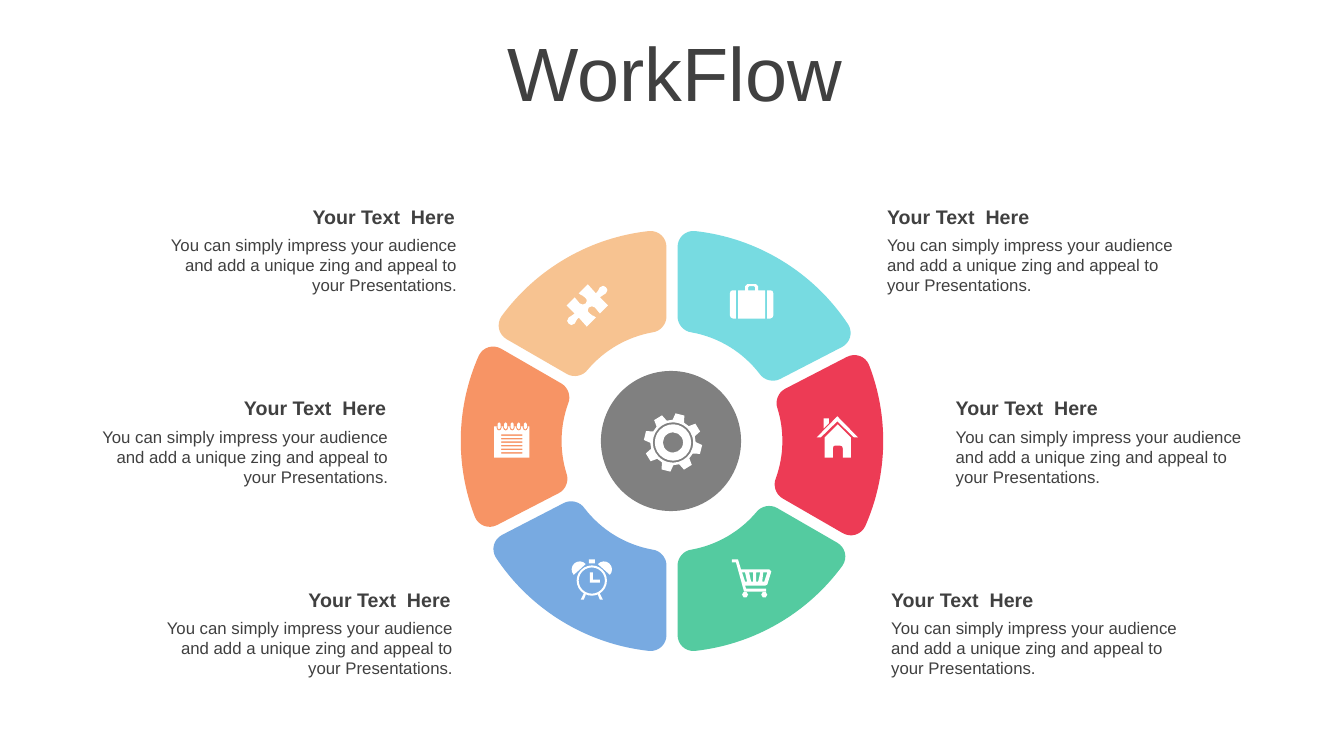
from math import asin, ceil, cos, degrees, radians, sin, tan

from pptx import Presentation
from pptx.dml.color import RGBColor
from pptx.enum.shapes import MSO_SHAPE
from pptx.enum.text import MSO_ANCHOR, PP_ALIGN
from pptx.oxml.ns import qn
from pptx.util import Emu, Pt

PX = 9144  # EMU per px, 100 px to the inch
LEFT, CENTER, RIGHT = PP_ALIGN.LEFT, PP_ALIGN.CENTER, PP_ALIGN.RIGHT
TOP, MIDDLE = MSO_ANCHOR.TOP, MSO_ANCHOR.MIDDLE
OVAL = MSO_SHAPE.OVAL
FONT = "Arial"
COLORS = {
    "text": "404040", "hub": "808080", "icon": "FFFFFF",
    "aqua": "77DBE1", "red": "ED3B55", "green": "54CBA0",
    "blue": "78AAE1", "orange": "F79465", "sand": "F7C391",
}
HEADING = "Your Text  Here"
BODY = ("You can simply impress your audience and add a unique zing "
        "and appeal to your Presentations.")


def px(n):
    return Emu(round(n * PX))


def paint(sp, color):
    sp.shadow.inherit = False
    sp.fill.solid()
    sp.fill.fore_color.rgb = RGBColor.from_string(COLORS[color])
    sp.line.fill.background()


def add_text(s, text, x, y, w, h, size=12, bold=False, align=LEFT,
             anchor=TOP, spacing=1.0):
    tf = s.shapes.add_textbox(px(x), px(y), px(w), px(h)).text_frame
    tf.word_wrap = True
    tf.vertical_anchor = anchor
    p = tf.paragraphs[0]
    p.alignment, p.line_spacing = align, spacing
    r = p.add_run()
    r.text = text
    r.font.name, r.font.size, r.font.bold = FONT, Pt(size), bold
    r.font.color.rgb = RGBColor.from_string(COLORS["text"])


# Outlines: a pair is a corner, six numbers are a cubic curve
def polar(cx, cy, r, angle):
    return cx + r * cos(radians(angle)), cy + r * sin(radians(angle))


def arc(cx, cy, r, start, end, span=120):
    pieces = ceil(abs(end - start) / span)
    turn = (end - start) / pieces
    pull = 4 / 3 * tan(radians(turn / 4))
    steps = [polar(cx, cy, r, start)]
    for i in range(pieces):
        a, b = start + turn * i, start + turn * (i + 1)
        p, q = polar(cx, cy, r, a), polar(cx, cy, r, b)
        steps.append((*polar(*p, r * pull, a + 90),
                      *polar(*q, r * pull, b - 90), *q))
    return steps


def disc(cx, cy, r):
    return arc(cx, cy, r, 0, 360)


def rect(x, y, w, h):
    return [(x, y), (x + w, y), (x + w, y + h), (x, y + h)]


def mirror(steps, width):
    return [tuple(v if i % 2 else width - v for i, v in enumerate(step))
            for step in steps]


def draw(s, x, y, contours, color):
    builder = None
    for contour in contours:
        points = [(px(x + step[i]), px(y + step[i + 1]))
                  for step in contour for i in range(0, len(step), 2)]
        if builder is None:
            builder = s.shapes.build_freeform(*points[0], scale=1.0)
        else:
            builder.move_to(*points[0])
        builder.add_line_segments(points[1:], close=True)
    sp = builder.convert_to_shape()
    # Join the three points of each curve into one element
    nodes = iter(list(sp._element.iter(qn("a:lnTo"))))
    for contour in contours:
        for step in contour[1:]:
            node = next(nodes)
            if len(step) == 6:
                node.tag = qn("a:cubicBezTo")
                for other in (next(nodes), next(nodes)):
                    node.append(other[0])
                    other.getparent().remove(other)
    paint(sp, color)


# Icons
def gear():
    tooth = ((29, -85), (29, -67), (22.5, -61), (22.5, -46))
    rim = [polar(28.5, 29, r, a + 45 * k) for k in range(8) for r, a in tooth]
    return [rim] + [disc(28.5, 29, r) for r in (20, 18, 10)]


def clock():
    bell = arc(8, 10, 8, -42, -222)
    leg = [(28, 34), (31, 40), (28, 40), (26, 35)]
    hands = [(18, 13), (21, 13), (21, 20), (28, 20), (28, 23), (18, 23)]
    return [disc(20, 21, 15), disc(20, 21, 13), hands, rect(17, 0, 6, 4),
            bell, mirror(bell, 40), leg, mirror(leg, 40)]


def notepad():
    contours = [rect(0, 4, 35, 31)]
    contours += [rect(7, 12 + 3.5 * i, 21, 1.5) for i in range(6)]
    for i in range(5):
        x = 5 + 6.5 * i
        a, b, c, d = x - 2.5, x + 2.5, x - 1.5, x + 1.5
        contours.append([(a, 4), (b, 4), (b, 5.5), (b, 9, a, 9, a, 5.5)])
        contours.append([(c, 1.5), (c, -0.5, d, -0.5, d, 1.5),
                         (d, 5.5), (d, 7.5, c, 7.5, c, 5.5)])
    return contours


def puzzle():
    half = [
        (41, 20), (33, 28), (30, 26, 31, 24, 28, 22), (26, 20, 24, 21, 22, 22),
        (21, 23, 20, 26, 23, 28), (25, 31, 26, 29, 29, 32), (20, 41), (12, 32),
        (9, 35, 10, 35, 8, 38), (6, 40, 3, 40, 2, 38), (0, 37, 0, 34, 2, 32),
        (3, 30, 6, 31, 8, 28)]
    turned = [tuple(40 - v if i % 2 else 41 - v for i, v in enumerate(step))
              for step in half]
    return [half + turned]


def cart():
    frame = [(0, 0), (6, 0), (9, 10), (37, 10), (39, 12), (35, 25), (33, 26),
             (13, 26), (14, 29), (34, 29), (34, 32), (12, 32), (4, 3), (0, 3)]
    slots = [[(a, 13), (b, 22), (b + 2, 22), (c, 13)] for a, b, c in
             ((10, 13, 13), (17, 19, 21), (24, 24, 28), (31, 30, 35))]
    return [frame, *slots, disc(13, 35, 3), disc(32, 35, 3)]


def house():
    walls = [(21, 8), (34, 21), (34, 41), (26, 41), (26, 32),
             (26, 30, 25, 29, 23, 29), (18, 29),
             (17, 29, 16, 30, 16, 32), (16, 41), (8, 41), (8, 21)]
    chimney = [(7, 2), (12, 2), (12, 7), (7, 12)]
    roof = [(20.5, 0), (41, 21), (37, 21), (20.5, 5), (4, 21), (0, 21)]
    return [walls, chimney, roof]


def suitcase():
    side = [(37, 6), (40, 6), (42, 6, 43, 7, 43, 9), (43, 31),
            (43, 32, 42, 34, 40, 34), (37, 34)]
    handle = [(15, 6), (15, 2), (17, 0), (26, 0), (28, 2), (28, 6),
              (25, 6), (25, 3), (24, 2), (19, 2), (18, 3), (18, 6)]
    return [side, mirror(side, 43), rect(8, 6, 27, 28), handle]


# Ring of six rounded segments around a hub
def segment(c, start, end, outer, inner, gap):
    def edge(r, side):
        turn = degrees(asin(gap / 2 / r))
        return start + turn if side > 0 else end - turn

    def corner(r, side, trim, inward, arc_first):
        tip = polar(c, c, r, edge(r, side))
        on_arc = polar(c, c, r, edge(r, side) + side * degrees(trim / r))
        on_edge = polar(c, c, r + inward * trim, edge(r + inward * trim, side))
        a, b = (on_arc, on_edge) if arc_first else (on_edge, on_arc)
        pull = [p[i] + (tip[i] - p[i]) * 0.55 for p in (a, b) for i in (0, 1)]
        return [a, (*pull, *b)]

    big, small = 17, 14
    cut, dent = degrees(big / outer), degrees(small / inner)
    return (corner(outer, 1, big, -1, False)
            + arc(c, c, outer, edge(outer, 1) + cut, edge(outer, -1) - cut, 30)[1:]
            + corner(outer, -1, big, -1, True)[1:]
            + corner(inner, -1, small, 1, False)
            + arc(c, c, inner, edge(inner, -1) - dent, edge(inner, 1) + dent)[1:]
            + corner(inner, 1, small, 1, True)[1:])


def add_ring(s, x, y, size):
    angles = (-90, -27.3, 30, 90, 152.7, 210, 270)
    names = ("aqua", "red", "green", "blue", "orange", "sand")
    for start, end, color in zip(angles, angles[1:], names):
        draw(s, x, y, [segment(size / 2, start, end, size / 2, size / 2 - 100, 11)],
             color)
    hub = s.shapes.add_shape(OVAL, px(x + 139), px(y + 140), px(139), px(139))
    paint(hub, "hub")
    for icon, dx, dy in ((suitcase, 267, 54), (house, 353, 185), (cart, 269, 327),
                         (clock, 110, 327), (notepad, 33, 191), (puzzle, 105, 55),
                         (gear, 182, 182)):
        draw(s, x + dx, y + dy, icon(), "icon")


def add_caption(s, x, y, align):
    add_text(s, BODY, x, y + 30, 309, 71, align=align)
    add_text(s, HEADING, x, y, 307, 34, size=14, bold=True, align=align)


def main():
    prs = Presentation()
    prs.slide_width, prs.slide_height = px(1333), px(750)
    s = prs.slides.add_slide(prs.slide_layouts[6])
    add_text(s, "WorkFlow", 36, 37, 1266, 79, size=54, align=CENTER,
             anchor=MIDDLE, spacing=0.9)
    add_ring(s, 457, 228, 419)
    for row, (left, right) in enumerate(((154, 870), (86, 938), (150, 874))):
        add_caption(s, left, 198 + 190 * row, RIGHT)
        add_caption(s, right, 198 + 190 * row, LEFT)
    prs.save("out.pptx")


if __name__ == "__main__":
    main()
